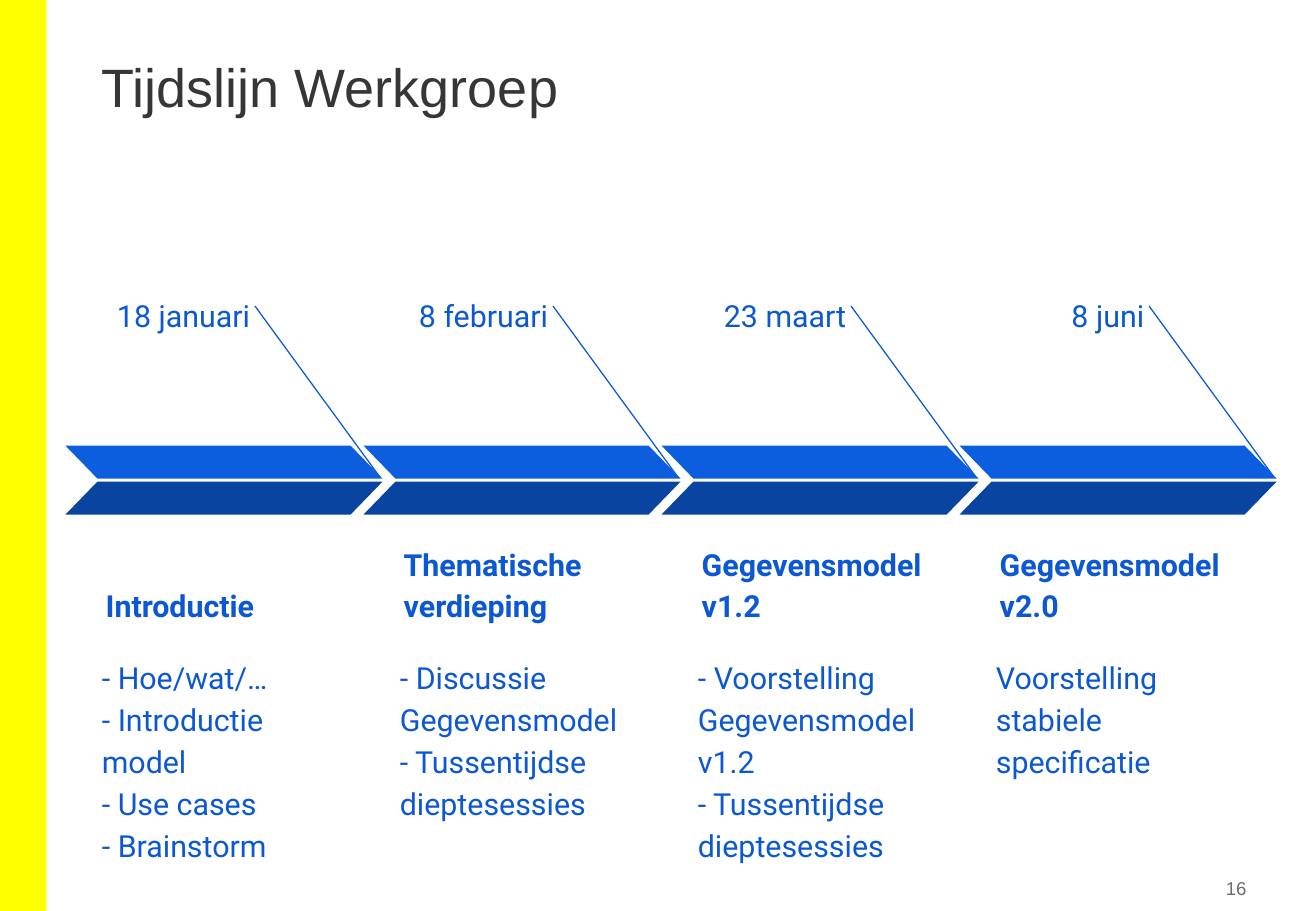
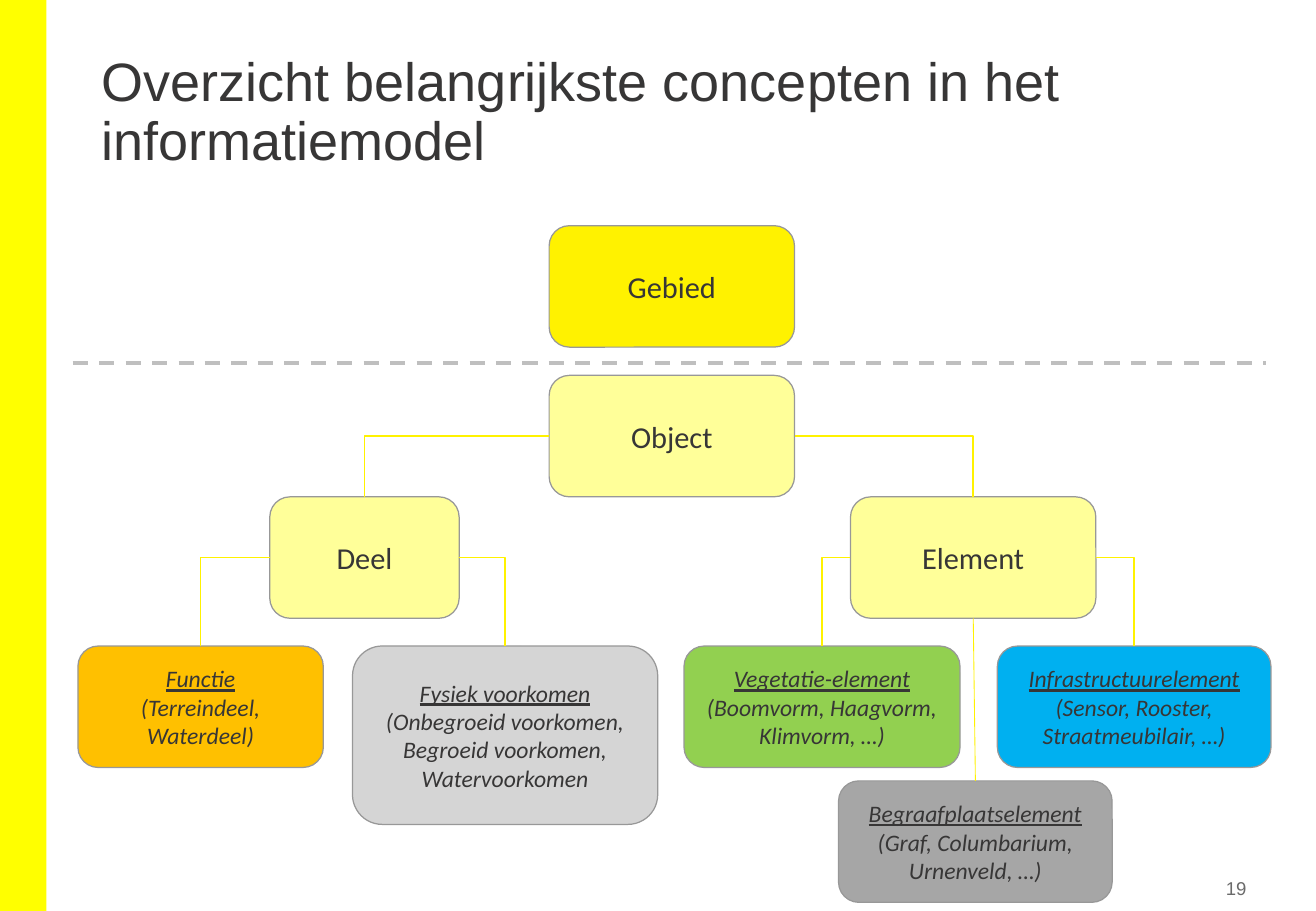
from lxml import etree
from pptx import Presentation
from pptx.dml.color import RGBColor
from pptx.enum.dml import MSO_LINE
from pptx.enum.shapes import MSO_CONNECTOR, MSO_SHAPE
from pptx.enum.text import MSO_ANCHOR, MSO_AUTO_SIZE, PP_ALIGN
from pptx.oxml.ns import qn
from pptx.util import Cm, Pt

LEFT, CENTER, RIGHT = PP_ALIGN.LEFT, PP_ALIGN.CENTER, PP_ALIGN.RIGHT
TOP, MIDDLE, BOTTOM = MSO_ANCHOR.TOP, MSO_ANCHOR.MIDDLE, MSO_ANCHOR.BOTTOM
RECTANGLE, ROUNDED = MSO_SHAPE.RECTANGLE, MSO_SHAPE.ROUNDED_RECTANGLE
PARALLELOGRAM = MSO_SHAPE.PARALLELOGRAM
STRAIGHT, ELBOW = MSO_CONNECTOR.STRAIGHT, MSO_CONNECTOR.ELBOW
DASH = MSO_LINE.DASH
NO_AUTOFIT = MSO_AUTO_SIZE.NONE
# Connection sites of a rounded rectangle
SITE_TOP, SITE_LEFT, SITE_BOTTOM, SITE_RIGHT = range(4)

WIDTH, HEIGHT = 27.51, 19.05
TITLE_ONLY = 5


def rgb(value):
    return RGBColor.from_string(value)


class Deck:
    INK, PAGE_GREY, BORDER = "373636", "6B6B6B", "989898"
    BAND, BRANCH, DIVIDER = "FFFF00", "FFF200", "BFBFBF"
    BLUE, BRIGHT_BLUE, DARK_BLUE = "0C58D3", "0D5DDF", "0944A1"

    def __init__(self):
        self.presentation = Presentation()
        self.presentation.slide_width = Cm(WIDTH)
        self.presentation.slide_height = Cm(HEIGHT)
        self.layout = self.presentation.slide_layouts[TITLE_ONLY]
        heading = self.layout.placeholders[0]
        heading.left, heading.top = Cm(1.88), Cm(1.02)
        heading.width, heading.height = Cm(23.72), Cm(2.74)
        self.slide = self.shapes = None

    def add_slide(self, title, number, title_inset):
        self.slide = self.presentation.slides.add_slide(self.layout)
        self.shapes = self.slide.shapes
        if len(self.presentation.slides) == 1:
            self.add_layout_band()
        self.set_text(self.shapes.title.text_frame, [title], 32, "Arial", self.INK,
                      spacing=0.9, inset=(0.25, title_inset))
        self.text([number], 24.13, 18.21, 2.06, 0.74, 11, "Arial",
                  self.PAGE_GREY, align=RIGHT, anchor=MIDDLE, inset=(0.13, 0.13))

    def add_layout_band(self):
        """Draw the side band and move it to the back of the shared layout."""
        band = self.shape(RECTANGLE, 0, 0, 0.97, HEIGHT, self.BAND)
        self.layout.shapes.element.insert(2, band.element)

    def start_group(self):
        """Send the next elements to a new group on the slide."""
        self.shapes = self.slide.shapes.add_group_shape().shapes

    def set_text(self, frame, lines, size, font, color, align=LEFT, anchor=TOP,
                 spacing=1.0, inset=(0.28, 0.28), bold=False):
        frame.text = "\n".join(lines)
        frame.word_wrap = True
        frame.auto_size = NO_AUTOFIT
        frame.vertical_anchor = anchor
        frame.margin_left = frame.margin_right = Cm(inset[0])
        frame.margin_top = frame.margin_bottom = Cm(inset[1])
        for paragraph in frame.paragraphs:
            paragraph.alignment = align
            paragraph.line_spacing = spacing
            for run in paragraph.runs:
                run.font.name, run.font.size = font, Pt(size)
                run.font.bold = bold
                run.font.color.rgb = rgb(color)

    def text(self, lines, x, y, w, h, size, font, color, **style):
        box = self.shapes.add_textbox(Cm(x), Cm(y), Cm(w), Cm(h))
        self.set_text(box.text_frame, lines, size, font, color, **style)

    def timeline_text(self, lines, x, y, w, h, **style):
        self.text(lines, x, y, w, h, 18, "Roboto", self.BLUE, spacing=1.15, **style)

    def shape(self, preset, x, y, w, h, fill, border=None):
        item = self.shapes.add_shape(preset, Cm(x), Cm(y), Cm(w), Cm(h))
        item.shadow.inherit = False
        item.fill.solid()
        item.fill.fore_color.rgb = rgb(fill)
        if border:
            item.line.color.rgb = rgb(border)
            item.line.width = Pt(0.75)
        else:
            item.line.fill.background()
        return item

    def arrow_half(self, x, y, fill, flipped=False):
        half = self.shape(PARALLELOGRAM, x, y, 6.63, 0.69, fill)
        half.adjustments[0] = 0.97
        if flipped:
            half.element.spPr.find(qn("a:xfrm")).set("flipH", "1")

    def concept(self, lines, x, y, w, h, fill):
        """Add a concept box; examples below the name make it a leaf."""
        box = self.shape(ROUNDED, x, y, w, h, fill, self.BORDER)
        is_leaf = len(lines) > 1
        self.set_text(box.text_frame, lines, 14 if is_leaf else 18, "Calibri",
                      self.INK, align=CENTER, anchor=MIDDLE, inset=(0.25, 0.13))
        if is_leaf:
            for paragraph in box.text_frame.paragraphs:
                paragraph.runs[0].font.italic = True
            box.text_frame.paragraphs[0].runs[0].font.underline = True
        return box

    def line(self, x1, y1, x2, y2, color, width, kind=STRAIGHT, dash=None):
        rule = self.shapes.add_connector(kind, Cm(x1), Cm(y1), Cm(x2), Cm(y2))
        rule.line.color.rgb = rgb(color)
        rule.line.width = Pt(width)
        if dash:
            rule.line.dash_style = dash
        etree.SubElement(rule._element.spPr, qn("a:effectLst"))
        return rule

    def branch(self, parent, child, site):
        """Join a side or the bottom of the parent to the top of the child."""
        straight = site == SITE_BOTTOM
        link = self.line(0, 0, 0, 0, self.BRANCH, 0.5 if straight else 1,
                         STRAIGHT if straight else ELBOW)
        link.begin_connect(parent, site)
        link.end_connect(child, SITE_TOP)
        if not straight:
            link._element.spPr.find(qn("a:prstGeom")).set("prst", "bentConnector2")


def build_timeline(deck):
    deck.add_slide("Tijdslijn Werkgroep", "16", 0.25)
    stages = [
        ("18 januari", "Introductie",
         ["- Hoe/wat/…", "- Introductie model", "- Use cases", "- Brainstorm"]),
        ("8 februari", "Thematische verdieping",
         ["- Discussie Gegevensmodel", "- Tussentijdse dieptesessies"]),
        ("23 maart", "Gegevensmodel v1.2",
         ["- Voorstelling Gegevensmodel v1.2", "- Tussentijdse dieptesessies"]),
        ("8 juni", "Gegevensmodel v2.0", ["Voorstelling stabiele specificatie"]),
    ]
    first_left, pitch = 1.37, 6.23
    for index, (date, heading, details) in enumerate(stages):
        x = first_left + index * pitch
        deck.start_group()
        deck.timeline_text([date], x + 0.41, 5.82, 3.73, 1.17, align=RIGHT)
        deck.timeline_text([heading], x + 0.56, 11.2, 5.7, 2.13,
                           anchor=BOTTOM, bold=True)
        deck.timeline_text(details, x + 0.48, 13.39, 5.59, 3.53)
        deck.line(x + 3.96, 6.4, x + 6.56, 9.96, deck.BLUE, 0.75)
        deck.arrow_half(x, 9.32, deck.BRIGHT_BLUE, flipped=True)
        deck.arrow_half(x, 10.07, deck.DARK_BLUE)


def build_concepts(deck):
    deck.add_slide("Overzicht belangrijkste concepten in het informatiemodel",
                   "19", 0.13)
    wide, tall, pale = 5.13, 2.54, "FFFF99"
    middle_x, split_y, leaf_y = 11.48, 10.39, 13.51

    deck.concept(["Gebied"], middle_x, 4.72, wide, tall, "FFF200")
    root = deck.concept(["Object"], middle_x, 7.85, wide, tall, pale)
    part = deck.concept(["Deel"], 5.64, split_y, 3.96, tall, pale)
    element = deck.concept(["Element"], 17.78, split_y, wide, tall, pale)
    function = deck.concept(["Functie", "(Terreindeel, Waterdeel)"],
                            1.63, leaf_y, wide, tall, "FFC000")
    physical = deck.concept(
        ["Fysiek voorkomen", "(Onbegroeid voorkomen, Begroeid voorkomen, Watervoorkomen"],
        7.37, leaf_y, 6.38, 3.73, "D5D5D5")
    infrastructure = deck.concept(
        ["Infrastructuurelement", "(Sensor, Rooster, Straatmeubilair, …)"],
        20.85, leaf_y, 5.72, tall, "00B0F0")
    vegetation = deck.concept(
        ["Vegetatie-element", "(Boomvorm, Haagvorm, Klimvorm, …)"],
        14.3, leaf_y, 5.77, tall, "92D050")
    cemetery = deck.concept(
        ["Begraafplaatselement", "(Graf, Columbarium, Urnenveld, …)"],
        17.53, 16.33, 5.72, tall, "A6A6A6")

    for parent, child, site in [
        (root, part, SITE_LEFT), (root, element, SITE_RIGHT),
        (part, function, SITE_LEFT), (part, physical, SITE_RIGHT),
        (element, vegetation, SITE_LEFT), (element, infrastructure, SITE_RIGHT),
        (element, cemetery, SITE_BOTTOM),
    ]:
        deck.branch(parent, child, site)
    deck.line(1.52, 7.59, 26.47, 7.59, deck.DIVIDER, 2.25, dash=DASH)


def main():
    deck = Deck()
    build_timeline(deck)
    build_concepts(deck)
    deck.presentation.save("out.pptx")


if __name__ == "__main__":
    main()
